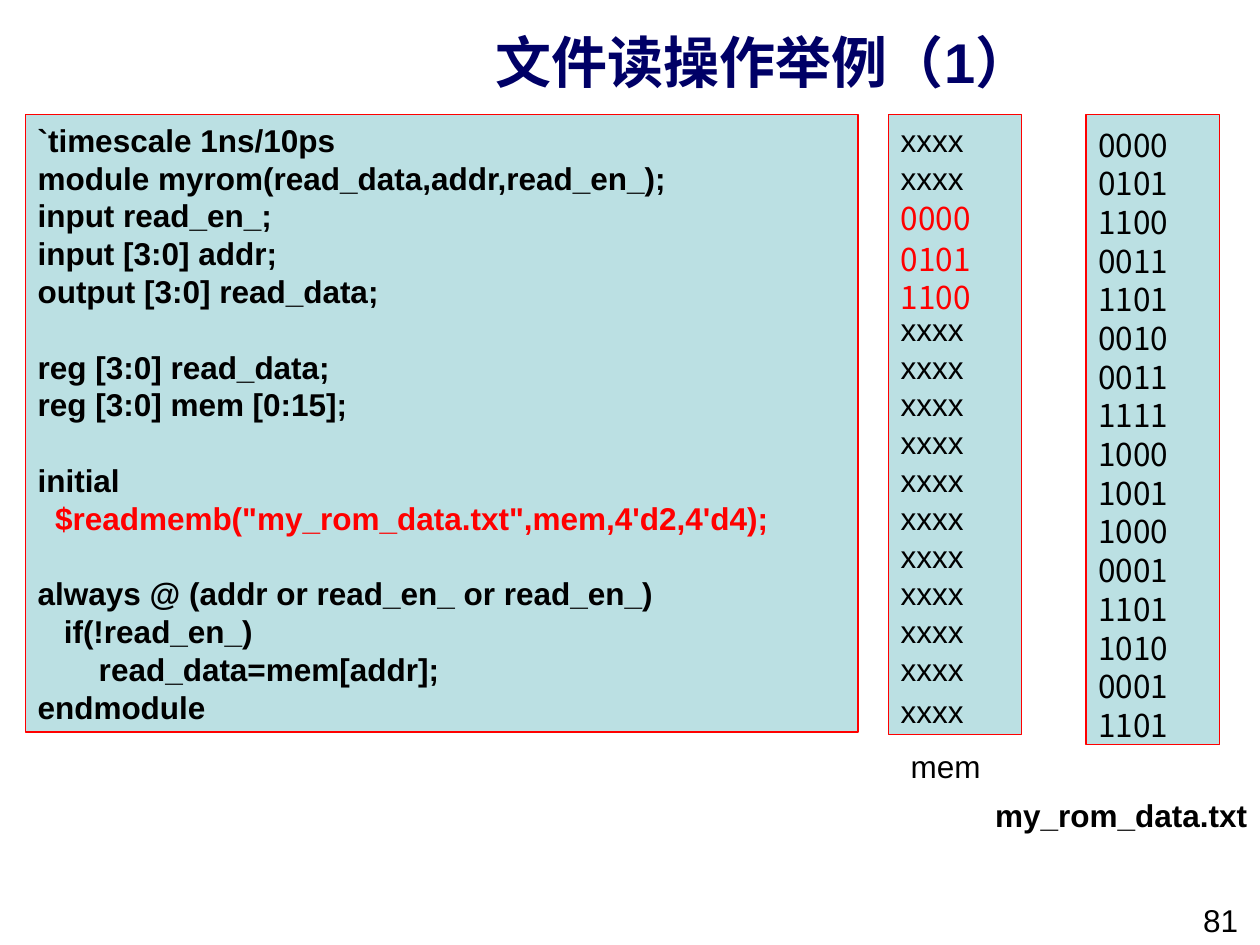
from pptx import Presentation
from pptx.dml.color import RGBColor
from pptx.enum.shapes import MSO_SHAPE as Preset
from pptx.enum.text import MSO_ANCHOR as Anchor, PP_ALIGN as Align
from pptx.util import Inches, Pt

LATIN, CJK = "Arial", "Noto Sans CJK SC"
PITCH = 21.6

CODE = """`timescale 1ns/10ps
module myrom(read_data,addr,read_en_);
input read_en_;
input [3:0] addr;
output [3:0] read_data;

reg [3:0] read_data;
reg [3:0] mem [0:15];

initial
  $readmemb("my_rom_data.txt",mem,4'd2,4'd4);

always @ (addr or read_en_ or read_en_)
   if(!read_en_)
       read_data=mem[addr];
endmodule"""
ROM_DATA = ("0000 0101 1100 0011 1101 0010 0011 1111 "
            "1000 1001 1000 0001 1101 1010 0001 1101").split()
FIRST_ADDR, LAST_ADDR = 2, 4
MEM_PITCHES = {2: 23, 3: 23.4, 4: 21.7, 5: 18.3, 15: 24}


def color(hex_code):
    return RGBColor.from_string(hex_code)


def write(paragraph, text, size=18, font=LATIN, ink="000000", bold=False,
          pitch=None, before=0, align=Align.LEFT):
    paragraph.alignment = align
    paragraph.space_before = Pt(before)
    if pitch:
        paragraph.line_spacing = Pt(pitch)
    run = paragraph.add_run()
    run.text = text
    run.font.size = Pt(size)
    run.font.name = font
    run.font.bold = bold
    run.font.color.rgb = color(ink)


class SlideBuilder:
    panel_fill = "BBE0E3"
    accent = "FF0000"
    title_ink = "000066"

    def __init__(self, deck):
        self.slide = deck.slides.add_slide(deck.slide_layouts[5])

    def title(self, text, left, top, width, height):
        heading = self.slide.shapes.title
        heading.left, heading.top = Inches(left), Inches(top)
        heading.width, heading.height = Inches(width), Inches(height)
        heading.text_frame.vertical_anchor = Anchor.MIDDLE
        write(heading.text_frame.paragraphs[0], text, size=32,
              ink=self.title_ink, bold=True, align=Align.CENTER)

    def label(self, text, left, top, width, wrap=True, **style):
        caption = self.slide.shapes.add_textbox(
            Inches(left), Inches(top), Inches(width), Inches(0.4))
        caption.text_frame.word_wrap = wrap
        write(caption.text_frame.paragraphs[0], text, pitch=PITCH, **style)

    def panel(self, lines, left, width, height, inset=0.05):
        panel = self.slide.shapes.add_shape(
            Preset.RECTANGLE, Inches(left), Inches(0.91), Inches(width), Inches(height))
        panel.shadow.inherit = False
        panel.fill.solid()
        panel.fill.fore_color.rgb = color(self.panel_fill)
        panel.line.color.rgb = color(self.accent)
        panel.line.width = Pt(0.75)
        frame = panel.text_frame
        frame.word_wrap = True
        frame.vertical_anchor = Anchor.TOP
        frame.margin_top = Inches(inset)
        for index, (text, style) in enumerate(lines):
            paragraph = frame.add_paragraph() if index else frame.paragraphs[0]
            write(paragraph, text, **style)


def code_lines(accent):
    gap = 0
    for line in CODE.splitlines():
        if not line:
            gap = PITCH
            continue
        ink = accent if "$readmemb" in line else "000000"
        yield line, dict(bold=True, ink=ink, pitch=PITCH, before=gap)
        gap = 0


def memory_lines(accent):
    for addr in range(len(ROM_DATA)):
        style = dict(pitch=MEM_PITCHES.get(addr, PITCH))
        if FIRST_ADDR <= addr <= LAST_ADDR:
            yield ROM_DATA[addr - FIRST_ADDR], dict(style, font=CJK, ink=accent)
        else:
            yield "xxxx", style


def main():
    deck = Presentation()
    deck.slide_width, deck.slide_height = Inches(10), Inches(7.5)
    builder = SlideBuilder(deck)
    builder.title("文件读操作举例（1）", 2.48, 0.07, 7.16, 0.83)
    rom_lines = [(word, dict(font=CJK, pitch=22.1)) for word in ROM_DATA]
    builder.panel(rom_lines, 8.62, 1.06, 5, inset=0.08)
    builder.label("my_rom_data.txt", 7.8, 6.27, 2.2, wrap=False, bold=True)
    builder.panel(code_lines(builder.accent), 0.2, 6.61, 4.9)
    builder.panel(memory_lines(builder.accent), 7.05, 1.06, 4.92)
    builder.label("mem", 7.13, 5.88, 0.94)
    builder.label("81", 9.45, 7.1, 0.55)
    deck.save("out.pptx")


if __name__ == "__main__":
    main()
